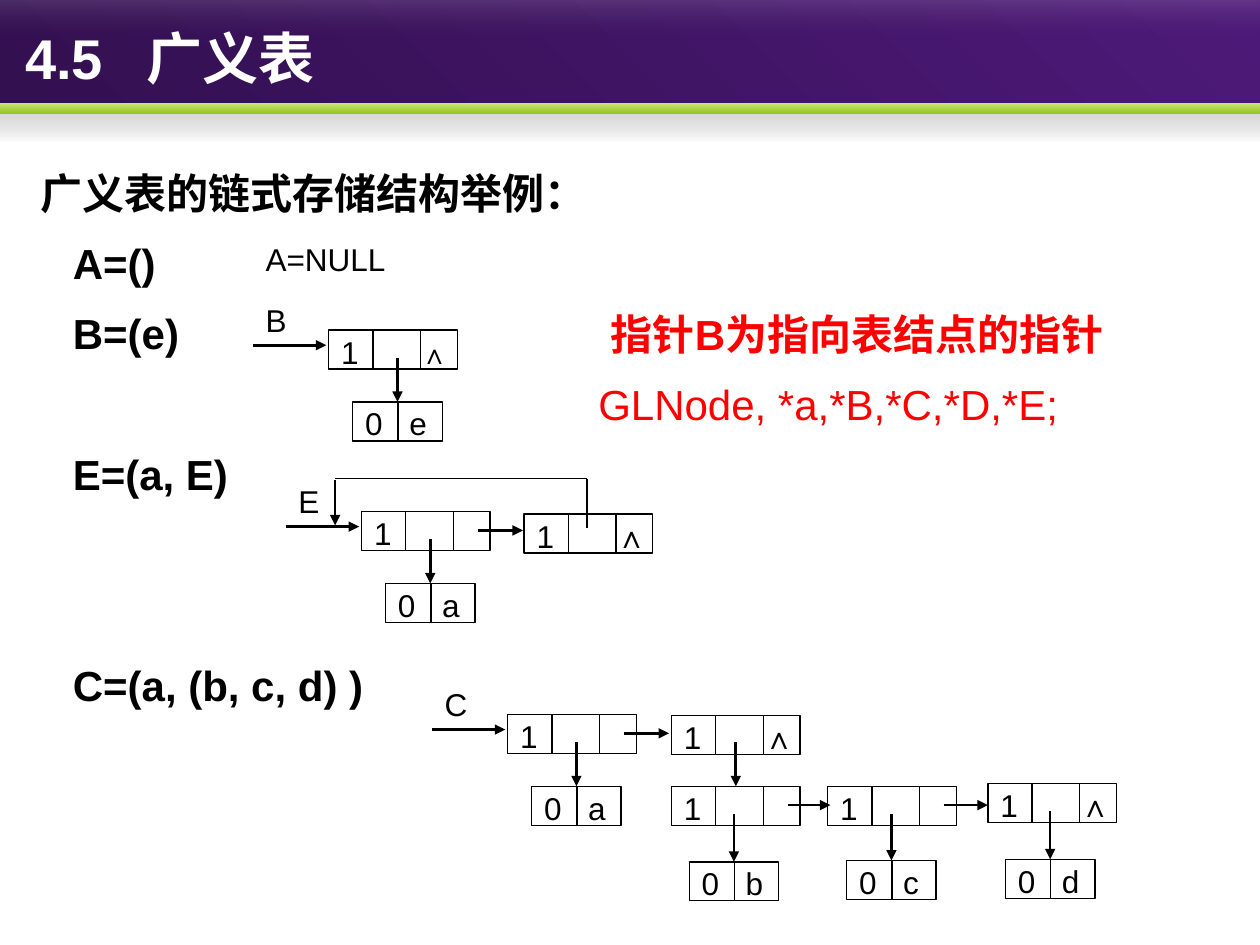
from dataclasses import dataclass
from lxml.etree import SubElement
from pptx import Presentation
from pptx.dml.color import RGBColor
from pptx.enum.shapes import MSO_CONNECTOR as Conn, MSO_SHAPE as Shape
from pptx.enum.text import MSO_ANCHOR as Anchor, PP_ALIGN as Align
from pptx.oxml.ns import qn
from pptx.util import Inches, Pt

FONT = "Arial"
BLACK, RED, WHITE = "000000", "FF0000", "FFFFFF"
PITCH = 40.2  # points from one body line to the next
CELL_H = 0.31


@dataclass
class Band:
    y: float
    h: float
    angle: int
    stops: tuple  # (colour, opacity in percent)


@dataclass
class Line:
    text: str
    indent: float = 0
    gap: float = 0
    color: str = BLACK
    bold: bool = True


@dataclass
class Node:
    """A list node: tag, head pointer and tail pointer."""
    x: float
    y: float
    nil: int = 0  # size of the end mark, 0 for none
    atom: str = ""
    dx: float = 0.19
    dy: float = 0.57
    name: str = ""
    next: float = 0  # x where the tail arrow ends


BANDS = [
    Band(0, 0.9, 45, (("331050", 100), ("4D1979", 100))),
    Band(0.88, 0.24, 270, (("808080", 33), ("3B3B3B", 0))),
    Band(0.82, 0.08, 270, (("C9E576", 100), ("97C523", 100))),
    Band(0, 0.28, 270, (("FFFFFF", 13), ("767676", 0))),
]
LISTS = [
    Line("广义表的链式存储结构举例："),
    Line("A=()", 0.26),
    Line("B=(e)", 0.26),
    Line("E=(a, E)", 0.26, PITCH),
    Line("C=(a, (b, c, d) )", 0.26, 2 * PITCH),
]
NOTES = [
    Line("指针B为指向表结点的指针", 0.1, color=RED),
    Line("GLNode, *a,*B,*C,*D,*E;", color=RED, bold=False),
]
NODES = [
    Node(2.61, 2.62, 16, "e", name="B"),
    Node(2.87, 4.06, 0, "a", name="E", next=4.15),
    Node(4.16, 4.08, 18),
    Node(4.03, 5.67, 0, "a", name="C", next=5.31),
    Node(5.33, 5.68, 18),
    Node(5.33, 6.24, 0, "b", 0.14, 0.6, next=6.59),
    Node(6.57, 6.24, 0, "c", 0.15, 0.59, next=7.84),
    Node(7.84, 6.22, 18, "d", 0.14, 0.6),
]

prs = Presentation()
prs.slide_width, prs.slide_height = Inches(10), Inches(7.5)
slide = prs.slides.add_slide(prs.slide_layouts[5])
shapes = slide.shapes


def rgb(code: str) -> RGBColor:
    return RGBColor.from_string(code)


def style(par, size: float, color: str = BLACK, bold: bool = False, tab: float = 0) -> None:
    props = par._p.get_or_add_pPr()
    if tab:
        tabs = SubElement(props, qn("a:tabLst"))
        SubElement(tabs, qn("a:tab"), pos=str(Inches(tab)), algn="l")
    font = par.font
    font.name, font.size, font.bold = FONT, Pt(size), bold
    font.color.rgb = rgb(color)
    SubElement(props.find(qn("a:defRPr")), qn("a:ea"), typeface=FONT)


def add_band(band: Band) -> None:
    box = shapes.add_shape(Shape.RECTANGLE, 0, Inches(band.y), Inches(10), Inches(band.h))
    box.shadow.inherit = False
    box.line.fill.background()
    box.fill.gradient()
    box.fill.gradient_angle = band.angle
    for stop, (color, alpha) in zip(box.fill.gradient_stops, band.stops):
        stop.color.rgb = rgb(color)
        if alpha < 100:
            mark = stop._gs.find(qn("a:srgbClr"))
            SubElement(mark, qn("a:alpha"), val=str(alpha * 1000))


def add_title(text: str) -> None:
    title = shapes.title
    title.left, title.top, title.width, title.height = map(Inches, (0.1, 0, 9.9, 0.9))
    title.text_frame.vertical_anchor = Anchor.MIDDLE
    title.text_frame.text = text
    par = title.text_frame.paragraphs[0]
    par.alignment = Align.LEFT
    style(par, 32, WHITE, True, 0.96)
    shapes._spTree.append(title._element)  # in front of the bands


def add_lines(x: float, y: float, w: float, h: float, lines: list[Line]) -> None:
    frame = shapes.add_textbox(*map(Inches, (x, y, w, h))).text_frame
    frame.word_wrap = True
    for i, line in enumerate(lines):
        par = frame.add_paragraph() if i else frame.paragraphs[0]
        par.text = line.text
        par.line_spacing = Pt(PITCH)
        if line.gap:
            par.space_before = Pt(line.gap)
        par._p.get_or_add_pPr().set("marL", str(Inches(line.indent)))
        style(par, 24, line.color, line.bold)


def add_label(text: str, x: float, y: float, w: float = 0.39) -> None:
    frame = shapes.add_textbox(*map(Inches, (x, y, w, 0.39))).text_frame
    frame.vertical_anchor = Anchor.MIDDLE
    frame.text = text
    style(frame.paragraphs[0], 18)


def add_line(x1: float, y1: float, x2: float, y2: float, arrow: bool = False):
    line = shapes.add_connector(Conn.STRAIGHT, *map(Inches, (x1, y1, x2, y2)))
    line.line.color.rgb = rgb(BLACK)
    line.line.width = Pt(1.5 if arrow else 0.75)
    if arrow:
        SubElement(line.line._get_or_add_ln(), qn("a:tailEnd"), type="triangle")
    SubElement(line._element.spPr, qn("a:effectLst"))
    return line


def add_cells(x: float, y: float, w: float, cuts: tuple, text: str, tab: float, nil: int = 0):
    """Draw a box split at the cuts and return it."""
    box = shapes.add_shape(Shape.RECTANGLE, *map(Inches, (x, y, w, CELL_H)))
    box.shadow.inherit = False
    box.fill.background()
    box.line.color.rgb = rgb(BLACK)
    box.line.width = Pt(0.75)
    frame = box.text_frame
    frame.word_wrap = True
    frame.vertical_anchor = Anchor.MIDDLE
    frame.margin_left, frame.margin_top = Inches(0.1), Inches(0.03)
    frame.margin_right = frame.margin_bottom = 0
    par = frame.paragraphs[0]
    par.alignment = Align.LEFT
    par.add_run().text = text
    if nil:
        mark = par.add_run()
        mark.text = "∧"
        mark.font.size, mark.font.bold = Pt(nil), True
    style(par, 18, tab=tab)
    for cut in cuts:
        add_line(x + cut, y, x + cut, y + CELL_H)
    return box


def add_node(node: Node):
    x, y = node.x, node.y
    text = "1\t" if node.nil else "1"
    box = add_cells(x, y, 1.02, (0.35, 0.73), text, 0.63, node.nil)
    if node.atom:
        ax, ay = x + node.dx, y + node.dy
        atom = add_cells(ax, ay, 0.71, (0.36,), f"0\t{node.atom}", 0.35)
        mid = ax + 0.355
        add_line(mid, y + 0.22, mid, ay, True).end_connect(atom, 0)
    if node.name:
        add_label(node.name, x - 0.6, y - 0.28)
        add_line(x - 0.6, y + 0.12, x - 0.02, y + 0.12, True)
    if node.next:
        add_line(x + 0.92, y + 0.15, node.next, y + 0.15, True)
    return box


for band in BANDS:
    add_band(band)
add_title("4.5\t广义表")
add_lines(0.22, 1.12, 4.3, 4.7, LISTS)
add_lines(4.65, 2.24, 5.1, 1.25, NOTES)
add_label("A=NULL", 2.01, 1.86, 1.41)

boxes = [add_node(node) for node in NODES]
add_line(5.84, 5.89, 5.84, 6.24, True).end_connect(boxes[5], 0)

# E points back to itself
add_line(2.66, 3.81, 2.66, 4.17, True)
add_line(2.66, 3.8, 4.66, 3.8)
add_line(4.66, 3.8, 4.66, 4.19)

prs.save("out.pptx")
